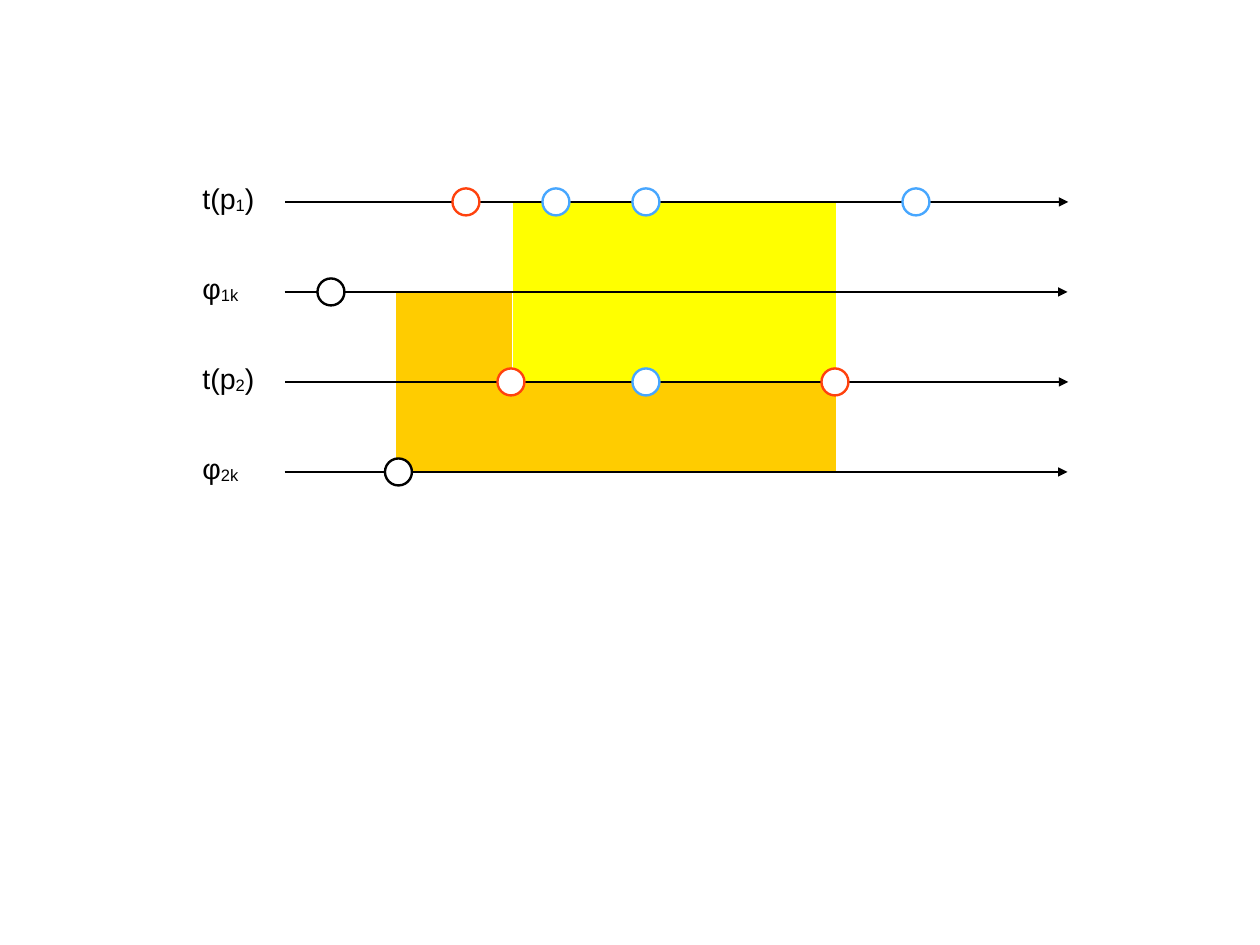
from lxml.etree import SubElement
from pptx import Presentation
from pptx.dml.color import RGBColor
from pptx.enum.shapes import MSO_CONNECTOR as CONNECTOR, MSO_SHAPE as SHAPE
from pptx.enum.text import MSO_AUTO_SIZE as AUTO_SIZE
from pptx.oxml.ns import qn
from pptx.util import Pt

BLACK, WHITE, RED, BLUE = "000000", "FFFFFF", "FF420E", "47A7FF"
ORANGE, YELLOW = "FFCC00", "FFFF00"

TIMELINES = [
    {"label": [("t(p", False), ("1", True), (")", False)], "label_width": 48,
     "start": 179.8, "events": [(3, RED), (5, BLUE), (7, BLUE), (13, BLUE)]},
    {"label": [("φ", False), ("1k", True)], "label_width": 38,
     "start": 179.3, "events": [(0, BLACK)]},
    {"label": [("t(p", False), ("2", True), (")", False)], "label_width": 48,
     "start": 179.8, "events": [(4, RED), (7, BLUE), (11.2, RED)]},
    {"label": [("φ", False), ("2k", True)], "label_width": 38,
     "start": 179.3, "events": [(1.5, BLACK)]},
]
INTERVALS = [(249.1, 1, ORANGE), (323.1, 0, YELLOW)]

TICK = 28.35
ROW_PITCH = 2 * TICK
FIRST_TICK, FIRST_ROW = 208.5, 127.2
TIMELINE_LENGTH = 493.2
INTERVAL_END, INTERVAL_ROWS = 526.8, 2
EVENT_SIZE = 17
LABEL_LEFT, LABEL_RISE, LABEL_HEIGHT = 120.4, 16.8, 33.1


def colour(value):
    return RGBColor.from_string(value)


def row_y(row):
    return FIRST_ROW + row * ROW_PITCH


def add_area(kind, left, top, width, height, fill, outline, outline_width):
    area = slide.shapes.add_shape(kind, Pt(left), Pt(top), Pt(width), Pt(height))
    area.shadow.inherit = False
    area.fill.solid()
    area.fill.fore_color.rgb = colour(fill)
    area.line.color.rgb = colour(outline)
    area.line.width = Pt(outline_width)


def add_timeline(start, y):
    arrow = slide.shapes.add_connector(
        CONNECTOR.STRAIGHT, Pt(start), Pt(y), Pt(start + TIMELINE_LENGTH), Pt(y))
    arrow.line.color.rgb = colour(BLACK)
    arrow.line.width = Pt(1)
    properties = arrow._element.spPr
    SubElement(properties.find(qn("a:ln")), qn("a:tailEnd"), type="triangle")
    SubElement(properties, qn("a:effectLst"))


def add_label(parts, width, y):
    label = slide.shapes.add_textbox(
        Pt(LABEL_LEFT), Pt(y - LABEL_RISE), Pt(width), Pt(LABEL_HEIGHT))
    frame = label.text_frame
    frame.word_wrap = False
    frame.auto_size = AUTO_SIZE.SHAPE_TO_FIT_TEXT
    for text, subscript in parts:
        run = frame.paragraphs[0].add_run()
        run.text = text
        run.font.size = Pt(18)
        run.font.name = "Arial"
        run.font.color.rgb = colour(BLACK)
        if subscript:
            run.font._element.set("baseline", "-8000")


deck = Presentation()
deck.slide_width, deck.slide_height = Pt(793.75), Pt(595.25)
slide = deck.slides.add_slide(deck.slide_layouts[6])

for left, row, fill in INTERVALS:
    add_area(SHAPE.RECTANGLE, left, row_y(row), INTERVAL_END - left,
             INTERVAL_ROWS * ROW_PITCH, fill, WHITE, 0)

for row, timeline in enumerate(TIMELINES):
    y = row_y(row)
    add_timeline(timeline["start"], y)
    add_label(timeline["label"], timeline["label_width"], y)
    for tick, outline in timeline["events"]:
        x = FIRST_TICK + tick * TICK
        add_area(SHAPE.OVAL, x - EVENT_SIZE / 2, y - EVENT_SIZE / 2,
                 EVENT_SIZE, EVENT_SIZE, WHITE, outline, 1.5)

deck.save("out.pptx")
